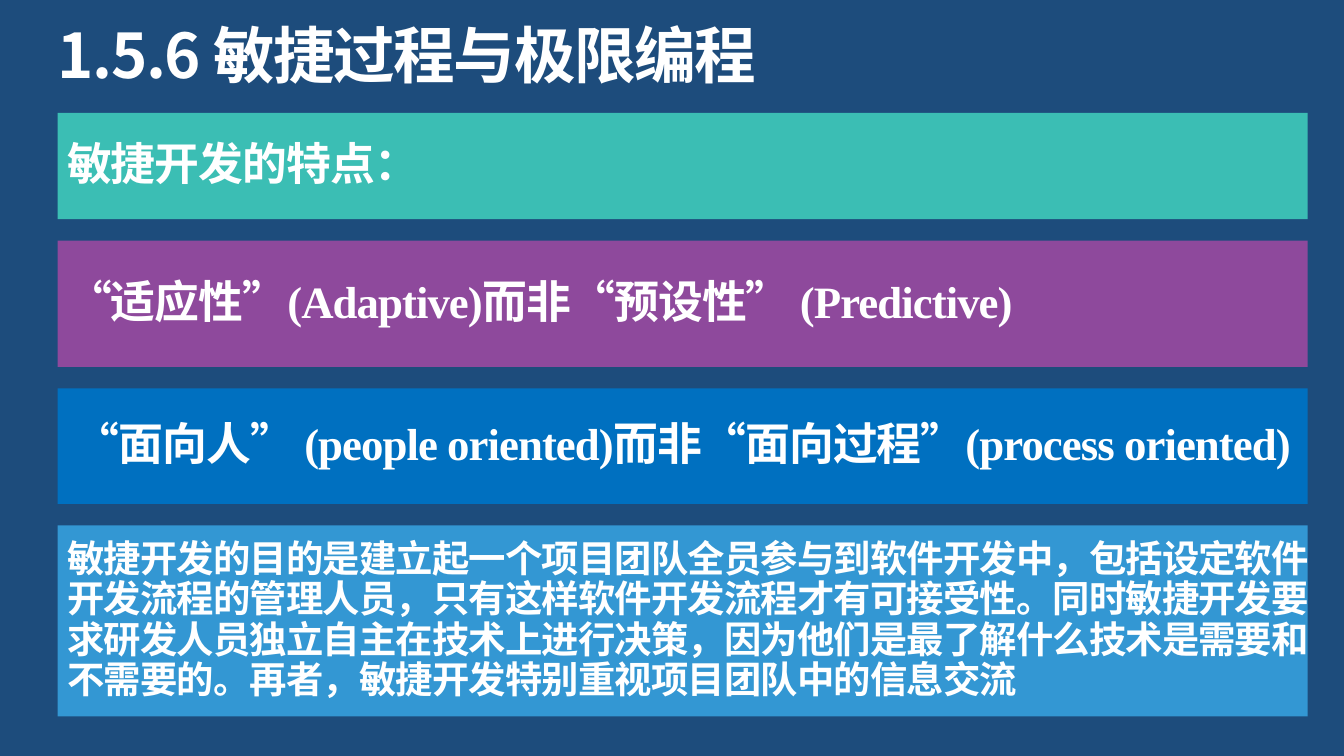
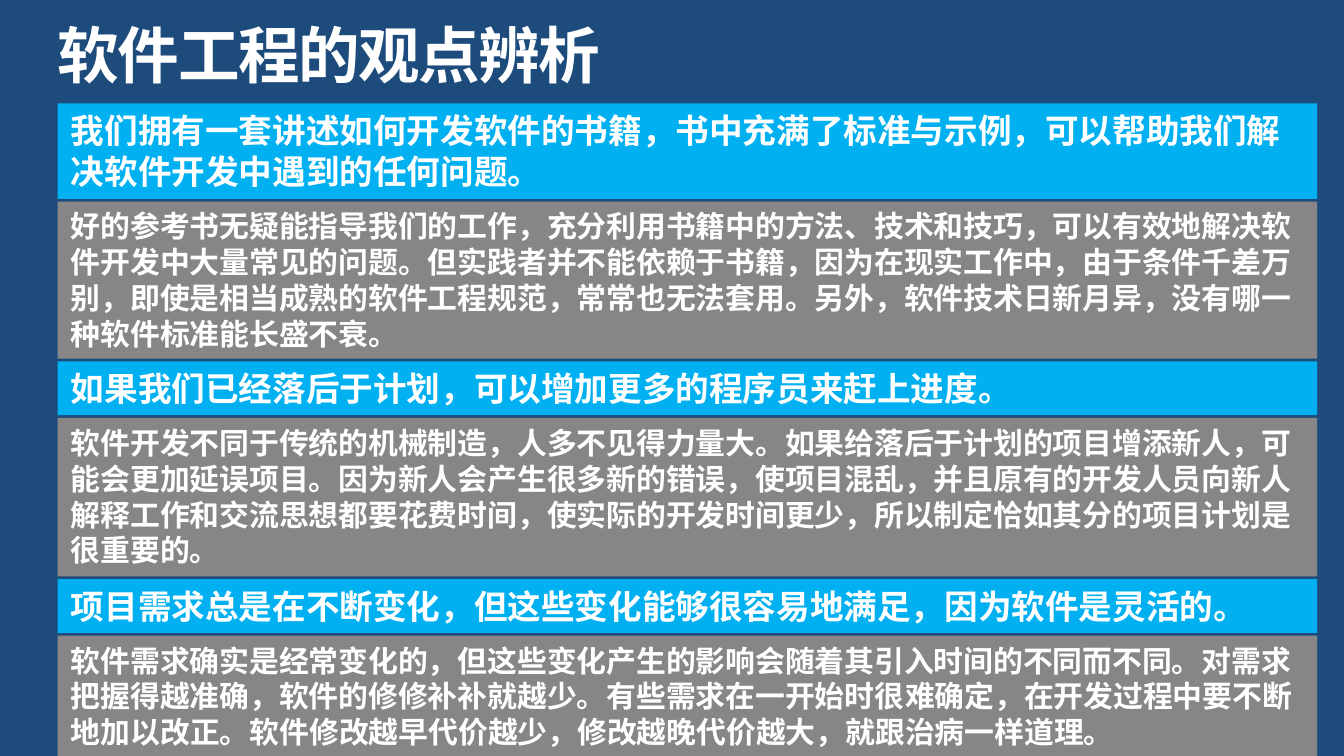
from pptx import Presentation
from pptx.dml.color import RGBColor
from pptx.enum.shapes import MSO_SHAPE
from pptx.enum.text import MSO_ANCHOR, MSO_AUTO_SIZE, PP_ALIGN
from pptx.oxml.ns import qn
from pptx.util import Inches, Pt

RECT = MSO_SHAPE.RECTANGLE
TOP, MIDDLE = MSO_ANCHOR.TOP, MSO_ANCHOR.MIDDLE
LEFT, CENTER = PP_ALIGN.LEFT, PP_ALIGN.CENTER
GROW = MSO_AUTO_SIZE.SHAPE_TO_FIT_TEXT

NAVY, WHITE = "1D4C7C", "FFFFFF"
TEAL, PURPLE, BLUE, SKY = "3BBEB4", "8E499C", "0070C0", "3397D3"
CYAN, GRAY = "00B0F0", "878585"
SANS, SERIF = "Noto Sans CJK SC", "Times New Roman"
MARGIN = 0.43

FEATURES = [
    (0.79, TEAL, SANS, 24, LEFT, 0.07, "敏捷开发的特点："),
    (0.94, PURPLE, SERIF, 24, LEFT, 0.07,
     "“适应性”(Adaptive)而非“预设性” (Predictive)"),
    (0.86, BLUE, SERIF, 24, CENTER, 0.07,
     "“面向人” (people oriented)而非“面向过程”(process oriented)"),
    (1.42, SKY, SANS, 20, LEFT, 0,
     "敏捷开发的目的是建立起一个项目团队全员参与到软件开发中，包括设定软件开发流程的管理人员，"
     "只有这样软件开发流程才有可接受性。同时敏捷开发要求研发人员独立自主在技术上进行决策，"
     "因为他们是最了解什么技术是需要和不需要的。再者，敏捷开发特别重视项目团队中的信息交流"),
]

VIEWS = [
    (0.71, "我们拥有一套讲述如何开发软件的书籍，书中充满了标准与示例，"
           "可以帮助我们解决软件开发中遇到的任何问题。",
     1.17, "好的参考书无疑能指导我们的工作，充分利用书籍中的方法、技术和技巧，"
           "可以有效地解决软件开发中大量常见的问题。但实践者并不能依赖于书籍，"
           "因为在现实工作中，由于条件千差万别，即使是相当成熟的软件工程规范，"
           "常常也无法套用。另外，软件技术日新月异，没有哪一种软件标准能长盛不衰。"),
    (0.4, "如果我们已经落后于计划，可以增加更多的程序员来赶上进度。",
     1.18, "软件开发不同于传统的机械制造，人多不见得力量大。"
           "如果给落后于计划的项目增添新人，可能会更加延误项目。"
           "因为新人会产生很多新的错误，使项目混乱，"
           "并且原有的开发人员向新人解释工作和交流思想都要花费时间，"
           "使实际的开发时间更少，所以制定恰如其分的项目计划是很重要的。"),
    (0.4, "项目需求总是在不断变化，但这些变化能够很容易地满足，因为软件是灵活的。",
     0.91, "软件需求确实是经常变化的，但这些变化产生的影响会随着其引入时间的不同而不同。"
           "对需求把握得越准确，软件的修修补补就越少。有些需求在一开始时很难确定，"
           "在开发过程中要不断地加以改正。软件修改越早代价越少，修改越晚代价越大，"
           "就跟治病一样道理。"),
]


def color(value):
    return RGBColor.from_string(value)


def write(sp, text, size, font=SANS, align=LEFT, anchor=TOP,
          insets=(0.1, 0.05, 0.1, 0.05), spacing=None, tracking=0, fit=None):
    tf = sp.text_frame
    tf.word_wrap = True
    tf.vertical_anchor = anchor
    tf.margin_left, tf.margin_top, tf.margin_right, tf.margin_bottom = map(Inches, insets)
    if fit is not None:
        tf.auto_size = fit
    p = tf.paragraphs[0]
    p.text = text
    p.alignment = align
    if spacing:
        p.line_spacing = spacing
    p.font.name = font
    p.font.size = Pt(size)
    p.font.bold = True
    p.font.color.rgb = color(WHITE)
    props = p._p.pPr.find(qn("a:defRPr"))
    if tracking:
        props.set("spc", str(round(tracking * 100)))
    latin = props.find(qn("a:latin"))
    east_asian = latin.makeelement(qn("a:ea"), {"typeface": SANS})
    latin.addnext(east_asian)


def add_band(s, top, width, height, fill):
    sp = s.shapes.add_shape(RECT, Inches(MARGIN), Inches(top), Inches(width), Inches(height))
    sp.shadow.inherit = False
    sp.fill.solid()
    sp.fill.fore_color.rgb = color(fill)
    sp.line.fill.background()
    return sp


def add_titled_slide(prs, title):
    s = prs.slides.add_slide(prs.slide_layouts[6])
    s.background.fill.solid()
    s.background.fill.fore_color.rgb = color(NAVY)
    sp = s.shapes.add_textbox(Inches(MARGIN), Inches(0.19), Inches(9.15), Inches(0.5))
    write(sp, title, 33, insets=(0, 0, 0, 0), spacing=0.9, tracking=-0.8, fit=GROW)
    return s


def add_features(s):
    top, gap = 0.84, 0.16
    for height, fill, font, size, align, right, text in FEATURES:
        sp = add_band(s, top, 9.3, height, fill)
        write(sp, text, size, font, align, MIDDLE, (0.07, 0.07, right, 0.07), 0.9, -0.5)
        top += height + gap


def add_views(s):
    top, gap = 0.77, 0.02
    for claim_height, claim, reply_height, reply in VIEWS:
        for height, text, fill, size in ((claim_height, claim, CYAN, 18),
                                         (reply_height, reply, GRAY, 16)):
            write(add_band(s, top, 9.37, height, fill), text, size, fit=GROW)
            top += height + gap


def main():
    prs = Presentation()
    prs.slide_width = Inches(10)
    prs.slide_height = prs.slide_width * 9 // 16
    add_features(add_titled_slide(prs, "1.5.6 敏捷过程与极限编程"))
    add_views(add_titled_slide(prs, "软件工程的观点辨析"))
    prs.save("out.pptx")


if __name__ == "__main__":
    main()
